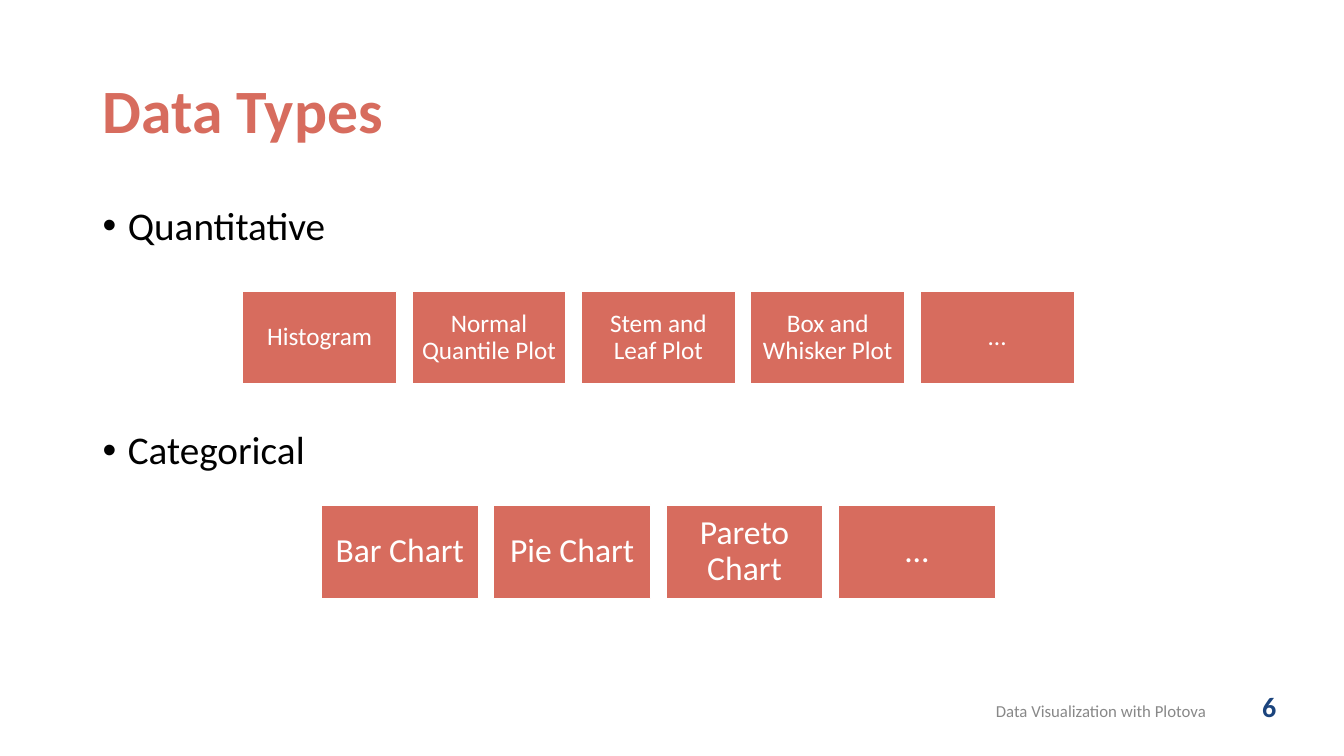
"""Build the Data Types slide: two bulleted data types, each with a row of chart boxes."""
from lxml import etree
from pptx import Presentation
from pptx.dml.color import RGBColor
from pptx.enum.shapes import MSO_SHAPE
from pptx.enum.text import MSO_ANCHOR, PP_ALIGN
from pptx.oxml.ns import qn
from pptx.util import Inches, Pt

RECTANGLE = MSO_SHAPE.RECTANGLE
TOP, MIDDLE = MSO_ANCHOR.TOP, MSO_ANCHOR.MIDDLE
LEFT, CENTER = PP_ALIGN.LEFT, PP_ALIGN.CENTER

TITLE = "Data Types"
DATA_TYPES = ["Quantitative", "Categorical"]
CHART_ROWS = [
    {"charts": ["Histogram", "Normal Quantile Plot", "Stem and Leaf Plot",
                "Box and Whisker Plot", "..."],
     "top": 2.89, "width": 1.53, "height": 0.92, "inset": 0.07, "size": "quantitative"},
    {"charts": ["Bar Chart", "Pie Chart", "Pareto Chart", "..."],
     "top": 5.01, "width": 1.56, "height": 0.93, "inset": 0.1, "size": "categorical"},
]
FOOTER = "Data Visualization with Plotova"
PAGE_NUMBER = "6"

THEME = {
    "font": "Calibri",
    "colors": {"accent": "D76C5E", "text": "000000", "white": "FFFFFF",
               "footer": "888888", "page": "1B447D"},
    "sizes": {"title": 44, "body": 28, "quantitative": 18, "categorical": 24,
              "footer": 12, "page": 20},
}
ROW_CENTER = 6.53
BOX_GAP = 0.15
BULLET_INDENT = 0.25
TYPE_SPACING = 130


def color(name):
    return RGBColor.from_string(THEME["colors"][name])


def style(paragraph, size, color_name, bold=False, align=LEFT, spacing=None):
    paragraph.alignment = align
    if spacing:
        paragraph.line_spacing = spacing
    for run in paragraph.runs:
        run.font.name = THEME["font"]
        run.font.size = Pt(THEME["sizes"][size])
        run.font.bold = bold
        run.font.color.rgb = color(color_name)


def add_text(slide, text, place, size, color_name, anchor=MIDDLE, **look):
    frame = slide.shapes.add_textbox(*map(Inches, place)).text_frame
    frame.word_wrap = True
    frame.vertical_anchor = anchor
    frame.text = text
    for paragraph in frame.paragraphs:
        style(paragraph, size, color_name, **look)
    return frame


def add_bullet(paragraph):
    properties = paragraph._p.get_or_add_pPr()
    properties.set("marL", str(Inches(BULLET_INDENT)))
    properties.set("indent", str(-Inches(BULLET_INDENT)))
    etree.SubElement(properties, qn("a:buFont")).set("typeface", "Arial")
    etree.SubElement(properties, qn("a:buChar")).set("char", "•")


def add_chart_row(slide, row):
    pitch = row["width"] + BOX_GAP
    left = ROW_CENTER - (len(row["charts"]) * pitch - BOX_GAP) / 2
    for column, chart in enumerate(row["charts"]):
        place = (left + column * pitch, row["top"], row["width"], row["height"])
        box = slide.shapes.add_shape(RECTANGLE, *map(Inches, place))
        box.shadow.inherit = False
        box.fill.solid()
        box.fill.fore_color.rgb = color("accent")
        box.line.color.rgb = color("white")
        box.line.width = Pt(1)
        frame = box.text_frame
        frame.word_wrap = True
        frame.vertical_anchor = MIDDLE
        frame.margin_left = frame.margin_right = Inches(row["inset"])
        frame.margin_top = frame.margin_bottom = Inches(row["inset"])
        frame.text = chart
        style(frame.paragraphs[0], row["size"], "white", align=CENTER, spacing=0.9)


def main():
    deck = Presentation()
    deck.slide_width, deck.slide_height = Inches(13.33), Inches(7.5)
    slide = deck.slides.add_slide(deck.slide_layouts[6])

    add_text(slide, FOOTER, (9.72, 6.85, 2.4, 0.4), "footer", "footer", align=CENTER)
    add_text(slide, PAGE_NUMBER, (12.42, 6.75, 0.73, 0.52), "page", "page", bold=True)
    add_text(slide, TITLE, (0.92, 0.4, 11.5, 1.45), "title", "accent",
             bold=True, spacing=0.9)

    types = add_text(slide, "\n".join(DATA_TYPES), (0.92, 2, 11.5, 4.76), "body", "text",
                     anchor=TOP, spacing=0.9)
    for paragraph in types.paragraphs:
        add_bullet(paragraph)
    for paragraph in types.paragraphs[1:]:
        paragraph.space_before = Pt(TYPE_SPACING)

    for row in CHART_ROWS:
        add_chart_row(slide, row)
    deck.save("out.pptx")


if __name__ == "__main__":
    main()
